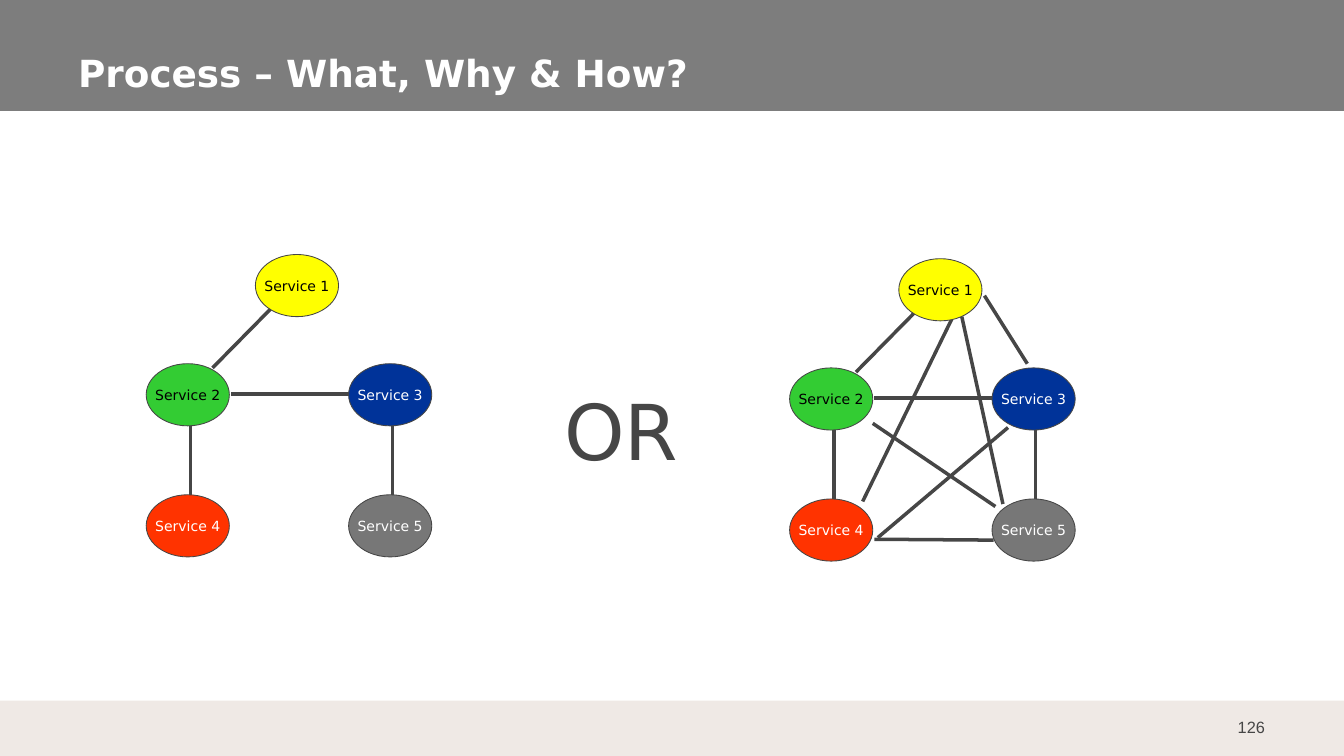
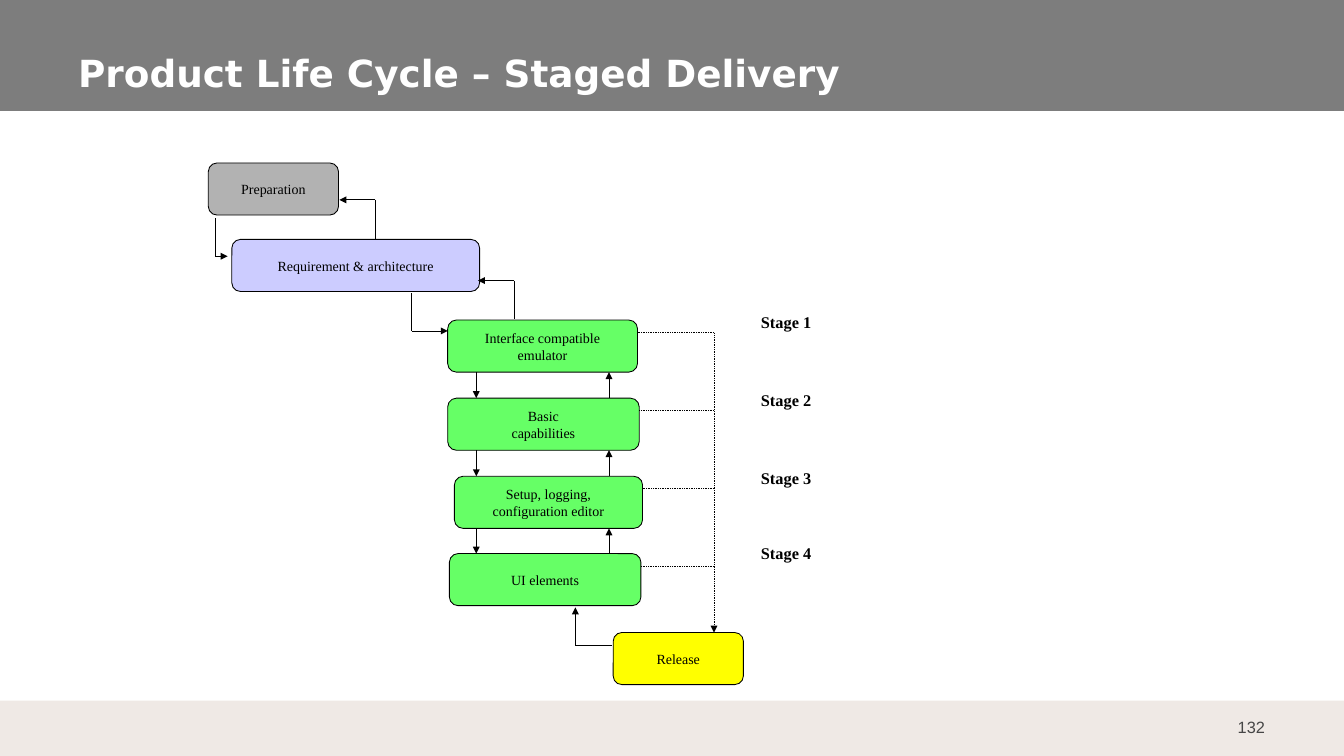
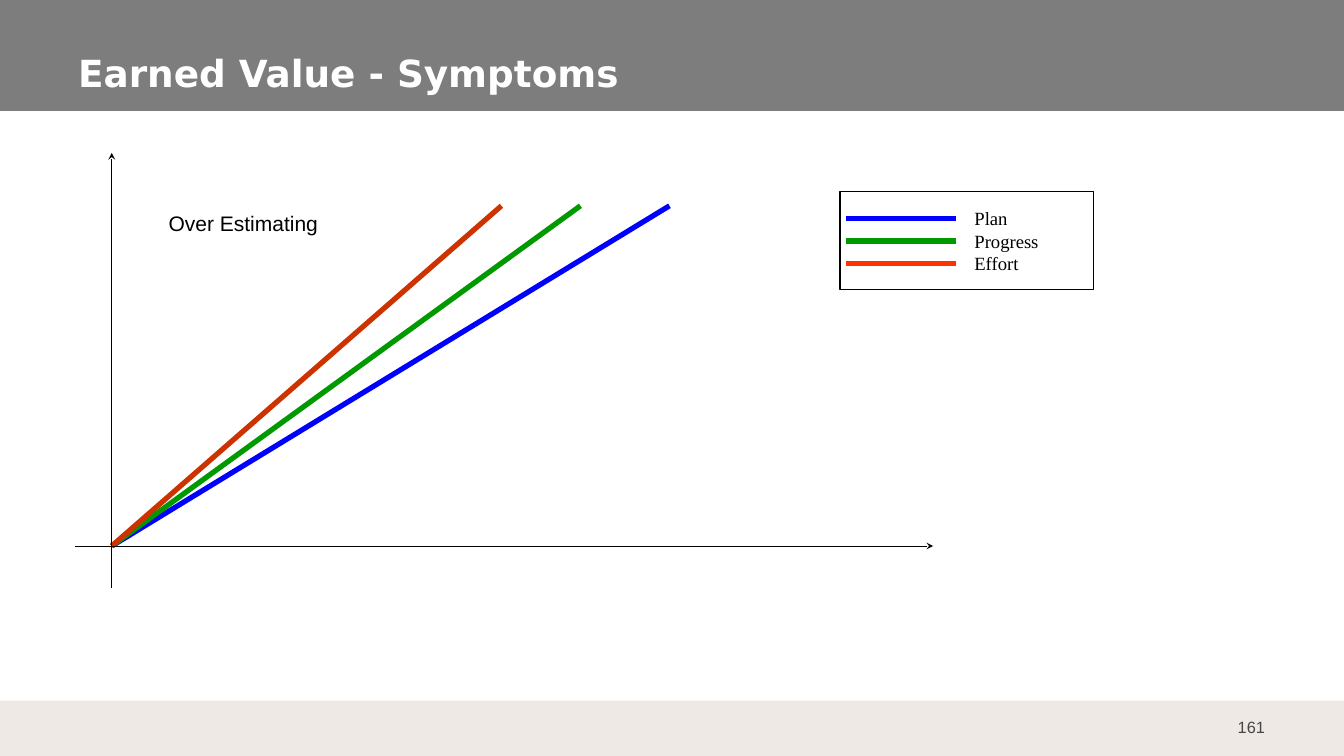
import dataclasses

import pptx
import pptx.dml.color
import pptx.enum.dml
import pptx.enum.shapes
import pptx.enum.text
import pptx.oxml.ns
import pptx.util
from lxml import etree

Inches = pptx.util.Inches
SHAPE = pptx.enum.shapes.MSO_SHAPE
ALIGN = pptx.enum.text.PP_ALIGN
ANCHOR = pptx.enum.text.MSO_ANCHOR


@dataclasses.dataclass(frozen=True)
class Theme:
    band: str = "7D7D7D"
    foot: str = "EFE9E5"
    ink: str = "464646"
    black: str = "000000"
    white: str = "FFFFFF"
    yellow: str = "FFFF00"
    green: str = "33CC33"
    blue: str = "003399"
    red: str = "FF3300"
    gray: str = "777777"
    silver: str = "B2B2B2"
    lilac: str = "CCCCFF"
    lime: str = "66FF66"
    plan: str = "0000FF"
    gain: str = "009900"
    rust: str = "CC3300"
    sans: str = "Arial"
    head: str = "DejaVu Sans"
    serif: str = "Times New Roman"
    small: int = 12
    note: int = 14
    key: int = 16
    body: int = 18
    title: int = 32
    huge: int = 66
    thin: float = 0.75
    rule: float = 1
    edge: float = 3
    thick: float = 4.5


def rgb(code):
    return pptx.dml.color.RGBColor.from_string(code)


class Deck:
    def __init__(self, theme):
        self.theme = theme
        self.file = pptx.Presentation()
        self.file.slide_width = Inches(16)
        self.file.slide_height = Inches(9)
        self.slide = None

    def start(self, title, number):
        """Add a slide with its title, bands and page number."""
        t = self.theme
        self.slide = self.file.slides.add_slide(self.file.slide_layouts[5])
        self.shape(SHAPE.RECTANGLE, (-0.02, 0, 16.05, 1.32), t.band)
        self.shape(SHAPE.RECTANGLE, (0, 8.34, 16, 0.66), t.foot)
        self.text((14.4, 8.42, 0.8, 0.48), number, t.note, t.sans, t.ink,
                  align=ALIGN.RIGHT, anchor=ANCHOR.MIDDLE, pad=(0.14, 0.07))
        head = self.slide.shapes.title
        head.left, head.top, head.width, head.height = map(
            Inches, (0.79, 0.46, 14.21, 0.74))
        self.fill(head.text_frame, title, t.title, t.head, t.white, bold=True,
                  anchor=ANCHOR.BOTTOM, pad=(0.14, 0.07))
        self.slide.shapes.element.append(head.element)

    def fill(self, frame, text, size, font, color, bold=False,
             align=ALIGN.LEFT, anchor=ANCHOR.TOP, pad=(0.1, 0.05), wrap=True):
        """Write text into a frame, one paragraph a line."""
        frame.word_wrap = wrap
        frame.auto_size = pptx.enum.text.MSO_AUTO_SIZE.NONE
        frame.vertical_anchor = anchor
        frame.margin_left = frame.margin_right = Inches(pad[0])
        frame.margin_top = frame.margin_bottom = Inches(pad[1])
        for i, line in enumerate(text.split("\n")):
            para = frame.add_paragraph() if i else frame.paragraphs[0]
            para.alignment = align
            run = para.add_run()
            run.text = line
            run.font.size = pptx.util.Pt(size)
            run.font.name = font
            run.font.bold = bold
            run.font.color.rgb = rgb(color)

    def text(self, box, text, size, font, color, **style):
        item = self.slide.shapes.add_textbox(*map(Inches, box))
        self.fill(item.text_frame, text, size, font, color, **style)

    def shape(self, kind, box, color=None, line=None, width=0.75):
        item = self.slide.shapes.add_shape(kind, *map(Inches, box))
        item.shadow.inherit = False
        if color:
            item.fill.solid()
            item.fill.fore_color.rgb = rgb(color)
        else:
            item.fill.background()
        if line:
            item.line.color.rgb = rgb(line)
            item.line.width = pptx.util.Pt(width)
        else:
            item.line.fill.background()
        return item

    def node(self, kind, box, color, line, text, font, ink):
        """Add a filled shape with a centred label."""
        item = self.shape(kind, box, color, line, self.theme.thin)
        self.fill(item.text_frame, text, self.theme.small, font, ink,
                  align=ALIGN.CENTER, anchor=ANCHOR.MIDDLE, wrap=False)

    def line(self, start, end, color, width, tip=None, dots=False):
        item = self.slide.shapes.add_connector(
            pptx.enum.shapes.MSO_CONNECTOR.STRAIGHT,
            *map(Inches, (*start, *end)))
        item.line.color.rgb = rgb(color)
        item.line.width = pptx.util.Pt(width)
        if dots:
            item.line.dash_style = pptx.enum.dml.MSO_LINE.ROUND_DOT
        qn = pptx.oxml.ns.qn
        props = item.element.spPr
        if tip:
            etree.SubElement(props.find(qn("a:ln")), qn("a:tailEnd"), type=tip)
        etree.SubElement(props, qn("a:effectLst"))

    def arrow(self, *points, dots=False):
        """Join the points by lines, with a tip at the last one."""
        last = len(points) - 2
        for i, (start, end) in enumerate(zip(points, points[1:])):
            self.line(start, end, self.theme.black, self.theme.thin,
                      "triangle" if i == last else None, dots)


def graph(deck, left, top, edges):
    """Draw the five services and the edges, placed from one corner."""
    t = deck.theme
    for x1, y1, x2, y2 in edges:
        deck.line((left + x1, top + y1), (left + x2, top + y2), t.ink, t.edge)
    nodes = [(1.3, 0, t.yellow, t.black), (0, 1.3, t.green, t.black),
             (2.41, 1.3, t.blue, t.white), (0, 2.86, t.red, t.white),
             (2.41, 2.86, t.gray, t.white)]
    for i, (x, y, color, ink) in enumerate(nodes, 1):
        deck.node(SHAPE.OVAL, (left + x, top + y, 0.99, 0.74), color, t.ink,
                  f"Service {i}", t.head, ink)


def process(deck):
    t = deck.theme
    deck.start("Process – What, Why & How?", "126")
    tree = [(0.79, 1.35, 1.49, 0.64), (0.53, 2.86, 0.53, 2.02),
            (2.93, 2.86, 2.93, 2.02), (2.42, 1.66, 1.01, 1.66)]
    mesh = tree + [(0.87, 2.89, 1.93, 0.72), (2.54, 2.92, 2.05, 0.69),
                   (2.83, 1.25, 2.32, 0.44), (1.05, 3.32, 2.6, 2.01),
                   (2.45, 2.95, 0.99, 1.96), (2.43, 3.35, 1.01, 3.34)]
    graph(deck, 1.74, 3.03, tree)
    deck.text((6.62, 4.52, 1.57, 1.21), "OR", t.huge, t.head, t.ink)
    graph(deck, 9.4, 3.08, mesh)


def cycle(deck):
    t = deck.theme
    deck.start("Product Life Cycle – Staged Delivery", "132")
    tall, bus = 0.62, 8.5
    stages = [(5.33, 3.81, 2.26, "Interface compatible\nemulator", 3.67),
              (5.33, 4.74, 2.28, "Basic\ncapabilities", 4.6),
              (5.41, 5.67, 2.24, "Setup, logging,\nconfiguration editor", 5.52),
              (5.35, 6.59, 2.28, "UI elements", 6.42)]
    steps = [(2.48, 1.94, 1.55, "Preparation", t.silver),
             (2.76, 2.85, 2.95, "Requirement & architecture", t.lilac),
             *((*stage[:4], t.lime) for stage in stages),
             (7.3, 7.53, 1.55, "Release", t.yellow)]
    for left, top, wide, label, color in steps:
        deck.node(SHAPE.ROUNDED_RECTANGLE, (left, top, wide, tall), color,
                  t.black, label, t.serif, t.black)

    for i, (left, top, wide, _, high) in enumerate(stages, 1):
        y = top + 0.15
        deck.line((left + wide, y), (bus, y), t.black, t.thin, dots=True)
        deck.text((8.96, high, 1.22, 0.42), f"Stage {i}", t.note, t.serif,
                  t.black, bold=True)
    deck.arrow((bus, 3.97), (bus, 7.53), dots=True)

    for upper, lower in zip(stages, stages[1:]):
        base, top = upper[1] + tall, lower[1]
        deck.arrow((5.67, base), (5.67, top))
        deck.arrow((7.25, top), (7.25, base))
    deck.arrow((2.56, 2.6), (2.56, 3.05), (2.71, 3.05))
    deck.arrow((4.47, 2.84), (4.47, 2.38), (4.04, 2.38))
    deck.arrow((4.9, 3.49), (4.9, 3.94), (5.33, 3.94))
    deck.arrow((6.12, 3.8), (6.12, 3.34), (5.69, 3.34))
    deck.arrow((7.28, 7.68), (6.85, 7.68), (6.85, 7.23))


def value(deck):
    t = deck.theme
    deck.start("Earned Value - Symptoms", "161")
    for x, color in [(7.97, t.plan), (6.91, t.gain), (5.97, t.rust)]:
        deck.line((1.33, 6.5), (x, 2.45), color, t.thick)
    for start, end in [((1.33, 7), (1.33, 1.82)), ((0.89, 6.5), (11.11, 6.5))]:
        deck.line(start, end, t.black, t.thin, "stealth")
    deck.text((1.91, 2.46, 2.64, 0.4), "Over Estimating", t.body, t.sans,
              t.black)

    key = deck.shape(SHAPE.RECTANGLE, (10, 2.28, 3.02, 1.17), None, t.black,
                     t.rule)
    deck.fill(key.text_frame, "Plan\nProgress\nEffort", t.key, t.serif,
              t.black, anchor=ANCHOR.MIDDLE)
    key.text_frame.margin_left = Inches(1.6)
    for i, color in enumerate([t.plan, t.gain, t.red]):
        y = 2.6 + 0.27 * i
        deck.line((10.07, y), (11.38, y), color, t.thick)


def main():
    deck = Deck(Theme())
    process(deck)
    cycle(deck)
    value(deck)
    deck.file.save("out.pptx")


if __name__ == "__main__":
    main()
